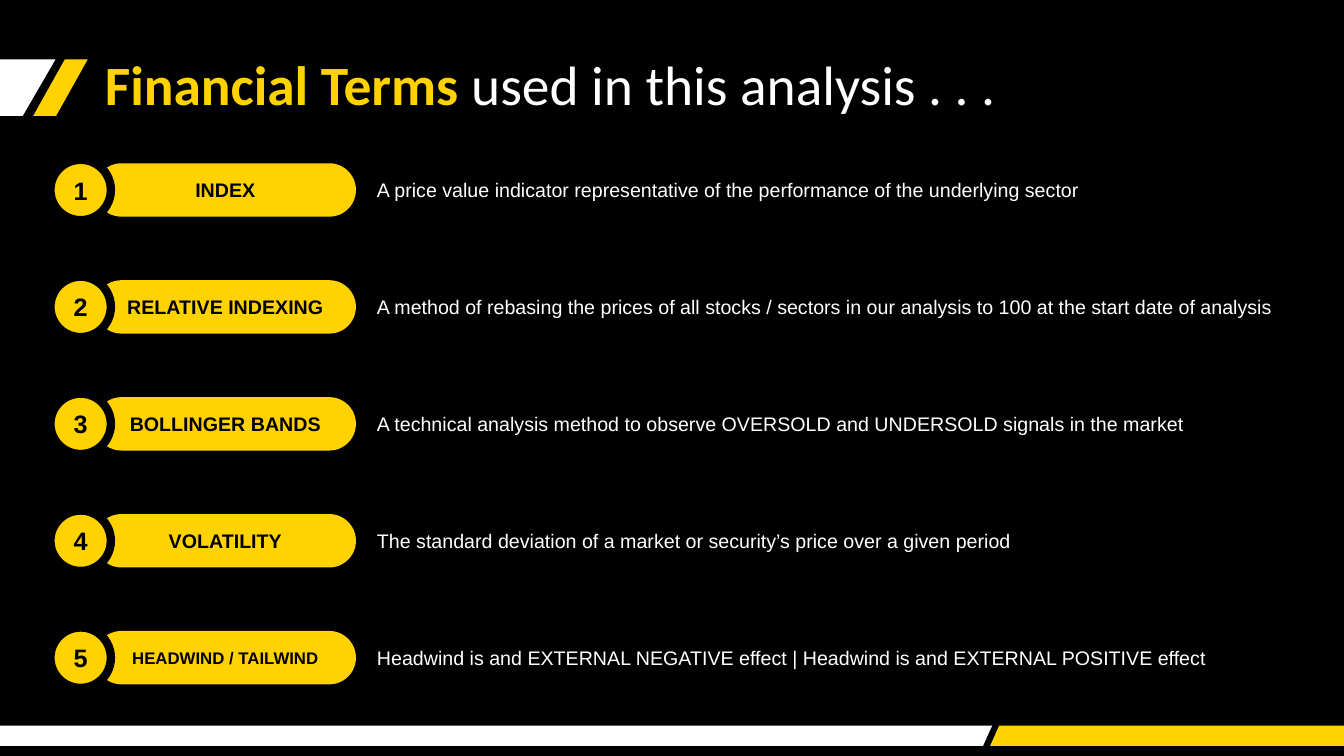
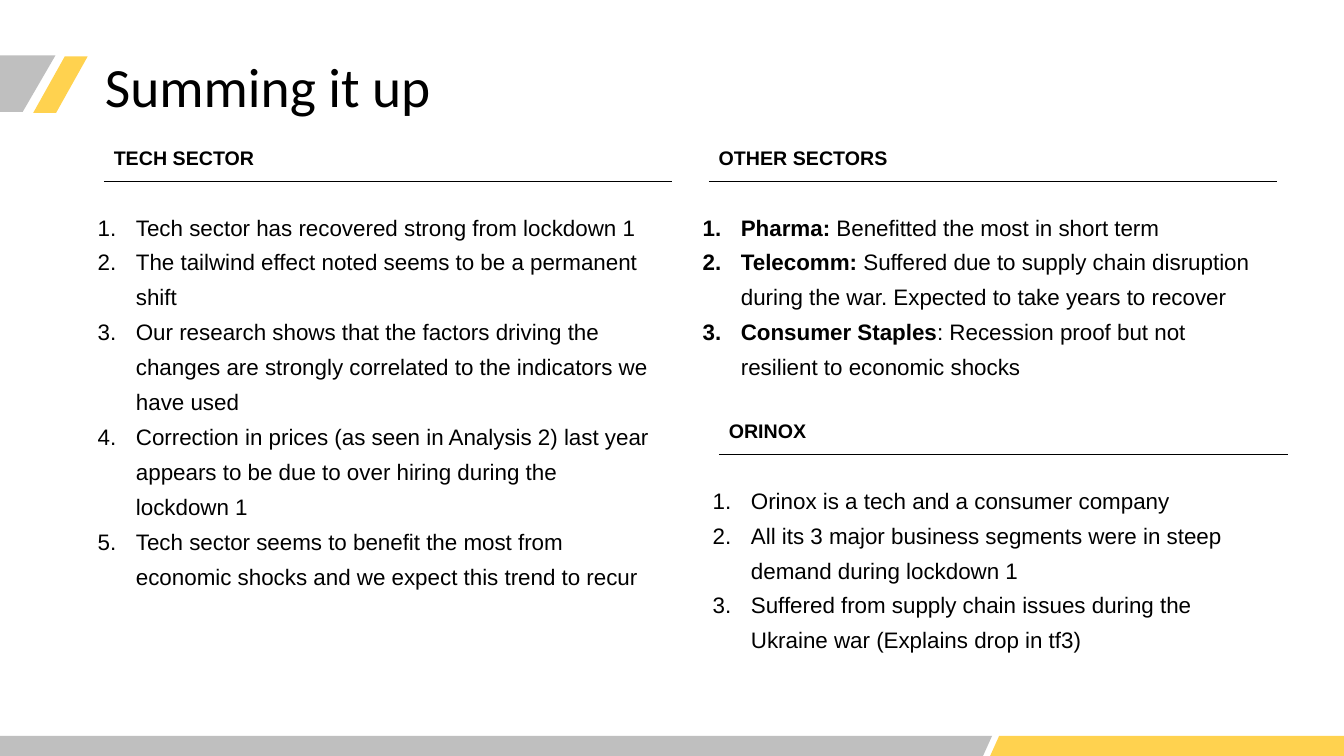
from lxml import etree
from pptx import Presentation
from pptx.dml.color import RGBColor
from pptx.enum.shapes import MSO_CONNECTOR, MSO_SHAPE
from pptx.enum.text import MSO_ANCHOR, MSO_AUTO_SIZE, PP_ALIGN
from pptx.oxml.ns import qn
from pptx.util import Inches, Pt

LEFT, CENTER = PP_ALIGN.LEFT, PP_ALIGN.CENTER
MIDDLE = MSO_ANCHOR.MIDDLE
STRAIGHT = MSO_CONNECTOR.STRAIGHT
PARALLELOGRAM = MSO_SHAPE.PARALLELOGRAM
PILL = MSO_SHAPE.ROUNDED_RECTANGLE
RECTANGLE = MSO_SHAPE.RECTANGLE
OVAL = MSO_SHAPE.OVAL
FIT_SHAPE, NO_FIT = MSO_AUTO_SIZE.SHAPE_TO_FIT_TEXT, MSO_AUTO_SIZE.NONE

BLACK = RGBColor(0x00, 0x00, 0x00)
WHITE = RGBColor(0xFF, 0xFF, 0xFF)
YELLOW = RGBColor(0xFF, 0xD2, 0x00)
AMBER = RGBColor(0xFF, 0xD2, 0x4F)
GREY = RGBColor(0xBF, 0xBF, 0xBF)

TITLE_FONT, BODY_FONT = "Calibri", "Arial"
SLIDE_WIDTH, SLIDE_HEIGHT = 13.33, 7.5
BAND_HEIGHT = 0.2
TITLE_LEFT = 0.94
SLANT = 0.58

ROW_TOP, ROW_PITCH, ROW_HEIGHT = 1.62, 1.16, 0.53
BADGE_SIZE = 0.6
RULE_WIDTH, LIST_WIDTH = 5.64, 5.67
LIST_INDENT = 0.38

TERMS = [
    ("INDEX", 14,
     "A price value indicator representative of the performance of the underlying sector"),
    ("RELATIVE INDEXING", 14,
     "A method of rebasing the prices of all stocks / sectors in our analysis to 100 "
     "at the start date of analysis"),
    ("BOLLINGER BANDS", 14,
     "A technical analysis method to observe OVERSOLD and UNDERSOLD signals in the market"),
    ("VOLATILITY", 14,
     "The standard deviation of a market or security’s price over a given period"),
    ("HEADWIND / TAILWIND", 12,
     "Headwind is and EXTERNAL NEGATIVE effect | Headwind is and EXTERNAL POSITIVE effect"),
]

# Each section: heading, left, top, heading width, list height,
# items as (bold lead, plain text)
SECTIONS = [
    ("TECH SECTOR", 1.03, 1.33, 1.61, 4.15, [
        ("", "Tech sector has recovered strong from lockdown 1"),
        ("", "The tailwind effect noted seems to be a permanent shift"),
        ("", "Our research shows that the factors driving the changes are strongly "
             "correlated to the indicators we have used"),
        ("", "Correction in prices (as seen in Analysis 2) last year appears to be due "
             "to over hiring during the lockdown 1"),
        ("", "Tech sector seems to benefit the most from economic shocks and we expect "
             "this trend to recur"),
    ]),
    ("OTHER SECTORS", 7.03, 1.33, 1.89, 1.68, [
        ("Pharma: ", "Benefitted the most in short term"),
        ("Telecomm: ", "Suffered due to supply chain disruption during the war. "
                       "Expected to take years to recover"),
        ("Consumer Staples", ": Recession proof but not resilient to economic shocks"),
    ]),
    ("ORINOX", 7.13, 4.04, 1.06, 1.68, [
        ("", "Orinox is a tech and a consumer company"),
        ("", "All its 3 major business segments were in steep demand during lockdown 1"),
        ("", "Suffered from supply chain issues during the Ukraine war "
             "(Explains drop in tf3)"),
    ]),
]


def add_run(paragraph, text, size, color, bold=False, font=BODY_FONT):
    run = paragraph.add_run()
    run.text = text
    run.font.name = font
    run.font.size = Pt(size)
    run.font.bold = bold
    run.font.color.rgb = color


def paint(shape, color):
    shape.shadow.inherit = False
    shape.fill.solid()
    shape.fill.fore_color.rgb = color
    shape.line.fill.background()


def add_filled_shape(shapes, kind, box, color, adjustment=None):
    shape = shapes.add_shape(kind, *map(Inches, box))
    paint(shape, color)
    if adjustment is not None:
        shape.adjustments[0] = adjustment
    return shape


def label(shape, text, size, color, align=CENTER, bold=True):
    frame = shape.text_frame
    frame.word_wrap = True
    frame.vertical_anchor = MIDDLE
    paragraph = frame.paragraphs[0]
    paragraph.alignment = align
    add_run(paragraph, text, size, color, bold)


def add_title(slide, top, parts):
    """Fill the title from (text, colour, bold) parts."""
    title = slide.shapes.title
    title.left, title.top = Inches(TITLE_LEFT), Inches(top)
    title.width, title.height = Inches(12.06), Inches(0.72)
    frame = title.text_frame
    frame.auto_size = NO_FIT
    frame.word_wrap = True
    frame.vertical_anchor = MIDDLE
    paragraph = frame.paragraphs[0]
    paragraph.alignment = LEFT
    paragraph.line_spacing = 0.9
    for text, color, bold in parts:
        add_run(paragraph, text, 39.6, color, bold, TITLE_FONT)


def add_polygon(shapes, points, color):
    corners = [(Inches(x), Inches(y)) for x, y in points]
    builder = shapes.build_freeform(*corners[0], scale=1.0)
    builder.add_line_segments(corners[1:], close=True)
    paint(builder.convert_to_shape(), color)


def add_footer_band(slide, top, main_color, accent_color):
    shapes = slide.shapes.add_group_shape().shapes
    bottom = top + BAND_HEIGHT
    add_polygon(shapes, [(0, top), (9.84, top), (9.75, bottom), (0, bottom)], main_color)
    add_polygon(shapes, [(9.91, top), (SLIDE_WIDTH, top), (SLIDE_WIDTH, bottom),
                         (9.82, bottom)], accent_color)


def add_title_marks(slide, main_top, accent_top, main_color, accent_color):
    for left, top, width, color in ((-0.78, main_top, 1.33, main_color),
                                    (0.33, accent_top, 0.54, accent_color)):
        add_filled_shape(slide.shapes, PARALLELOGRAM, (left, top, width, 0.56), color, SLANT)


def add_term_row(slide, index, term, term_size, meaning):
    shapes = slide.shapes.add_group_shape().shapes
    top = ROW_TOP + index * ROW_PITCH
    pill = add_filled_shape(shapes, PILL, (TITLE_LEFT, top, 2.59, ROW_HEIGHT), YELLOW, 0.5)
    label(pill, term, term_size, BLACK)
    panel = add_filled_shape(shapes, RECTANGLE, (3.64, top, 9.58, ROW_HEIGHT), BLACK)
    label(panel, meaning, 14, WHITE, LEFT, bold=False)
    badge_top = top + (ROW_HEIGHT - BADGE_SIZE) / 2
    badge = add_filled_shape(shapes, OVAL, (0.5, badge_top, BADGE_SIZE, BADGE_SIZE), YELLOW)
    badge.line.color.rgb = BLACK
    badge.line.width = Pt(6)
    label(badge, str(index + 1), 18, BLACK)


def add_rule(shapes, left, top, width):
    rule = shapes.add_connector(STRAIGHT, Inches(left), Inches(top),
                                Inches(left + width), Inches(top))
    rule.line.color.rgb = BLACK
    rule.line.width = Pt(1)
    etree.SubElement(rule._element.spPr, qn("a:effectLst"))


def number_paragraph(paragraph):
    """Give the paragraph an automatic number with a hanging indent."""
    properties = paragraph._p.get_or_add_pPr()
    properties.set("marL", str(Inches(LIST_INDENT)))
    properties.set("indent", str(-Inches(LIST_INDENT)))
    color = etree.SubElement(properties, qn("a:buClr"))
    etree.SubElement(color, qn("a:srgbClr"), val=str(BLACK))
    etree.SubElement(properties, qn("a:buFont"), typeface=BODY_FONT)
    etree.SubElement(properties, qn("a:buAutoNum"), type="arabicPeriod")


def add_section(slide, heading, left, top, heading_width, list_height, items):
    shapes = slide.shapes.add_group_shape().shapes
    add_rule(shapes, left, top + 0.47, RULE_WIDTH)

    frame = shapes.add_textbox(Inches(left), Inches(top), Inches(heading_width),
                               Inches(0.38)).text_frame
    frame.word_wrap = False
    frame.auto_size = FIT_SHAPE
    frame.paragraphs[0].line_spacing = 1.3
    add_run(frame.paragraphs[0], heading, 14, BLACK, bold=True)

    frame = shapes.add_textbox(Inches(left - 0.16), Inches(top + 0.66), Inches(LIST_WIDTH),
                               Inches(list_height)).text_frame
    frame.word_wrap = True
    for index, (lead, text) in enumerate(items):
        paragraph = frame.add_paragraph() if index else frame.paragraphs[0]
        number_paragraph(paragraph)
        paragraph.line_spacing = 1.3
        if lead:
            add_run(paragraph, lead, 16, BLACK, bold=True)
        add_run(paragraph, text, 16, BLACK)


def add_slide(presentation, background):
    slide = presentation.slides.add_slide(presentation.slide_layouts[5])
    slide.background.fill.solid()
    slide.background.fill.fore_color.rgb = background
    return slide


def build_terms_slide(presentation):
    slide = add_slide(presentation, BLACK)
    add_title(slide, 0.51, [("Financial Terms", YELLOW, True),
                            (" used in this analysis . . .", WHITE, False)])
    add_footer_band(slide, 7.2, WHITE, YELLOW)
    add_title_marks(slide, 0.59, 0.59, WHITE, YELLOW)
    for index, term in enumerate(TERMS):
        add_term_row(slide, index, *term)


def build_summary_slide(presentation):
    slide = add_slide(presentation, WHITE)
    add_title(slide, 0.53, [("Summing it up", BLACK, False)])
    add_footer_band(slide, SLIDE_HEIGHT - BAND_HEIGHT, GREY, AMBER)
    add_title_marks(slide, 0.55, 0.56, GREY, AMBER)
    for section in SECTIONS:
        add_section(slide, *section)


def main():
    presentation = Presentation()
    presentation.slide_width = Inches(SLIDE_WIDTH)
    presentation.slide_height = Inches(SLIDE_HEIGHT)
    build_terms_slide(presentation)
    build_summary_slide(presentation)
    presentation.save("out.pptx")


if __name__ == "__main__":
    main()
